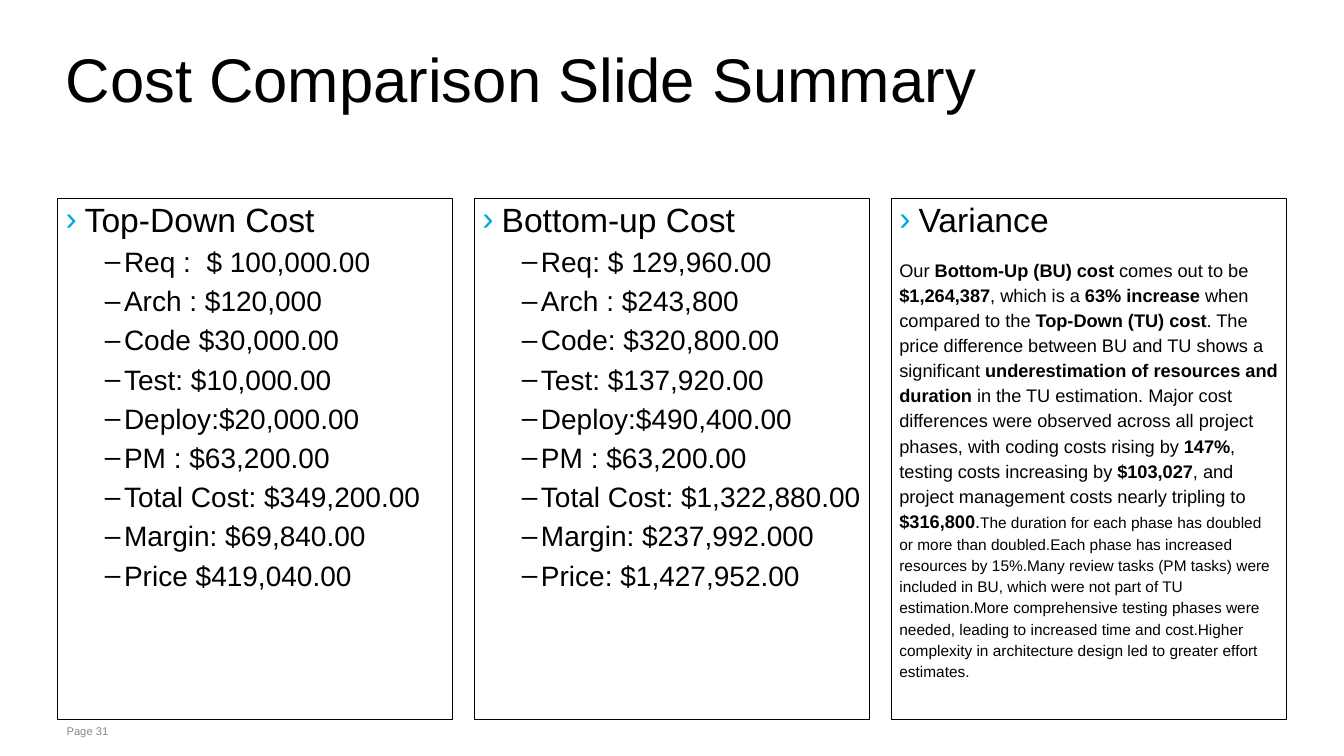
from lxml.etree import SubElement
from pptx import Presentation
from pptx.dml.color import RGBColor
from pptx.enum.text import MSO_ANCHOR as Anchor, MSO_AUTO_SIZE as AutoSize, PP_ALIGN as Align
from pptx.oxml.ns import qn
from pptx.util import Inches, Pt

BLACK = RGBColor(0x00, 0x00, 0x00)
GREY = RGBColor(0x87, 0x88, 0x8A)
CYAN = RGBColor(0x00, 0xA9, 0xD4)

# Column contents
TOP_DOWN = ["Req :  $ 100,000.00", "Arch : $120,000", "Code $30,000.00", "Test: $10,000.00",
            "Deploy:$20,000.00", "PM : $63,200.00", "Total Cost: $349,200.00",
            "Margin: $69,840.00", "Price $419,040.00"]
BOTTOM_UP = ["Req: $ 129,960.00", "Arch : $243,800", "Code: $320,800.00", "Test: $137,920.00",
             "Deploy:$490,400.00", "PM : $63,200.00", "Total Cost: $1,322,880.00",
             "Margin: $237,992.000", "Price: $1,427,952.00"]
# Plain and bold spans take turns, starting with plain
VARIANCE = ["Our ", "Bottom-Up (BU) cost", " comes out to be ", "$1,264,387", ", which is a ",
            "63% increase", " when compared to the ", "Top-Down (TU) cost",
            ". The price difference between BU and TU shows a significant ",
            "underestimation of resources and duration",
            " in the TU estimation. Major cost differences were observed across all project "
            "phases, with coding costs rising by ", "147%",
            ", testing costs increasing by ", "$103,027",
            ", and project management costs nearly tripling to ", "$316,800", "."]
REASONS = ("The duration for each phase has doubled or more than doubled."
           "Each phase has increased resources by 15%."
           "Many review tasks (PM tasks) were included in BU, which were not part of TU estimation."
           "More comprehensive testing phases were needed, leading to increased time and cost."
           "Higher complexity in architecture design led to greater effort estimates.")


def apply(target, **values):
    for name, value in values.items():
        setattr(target, name, value)


class SlideBuilder:
    font = "Arial"
    hang = 0.19

    def __init__(self, page):
        self.page = page

    def frame(self, box, place, top_inset=0, anchor=Anchor.TOP):
        left, top, width, height = map(Inches, place)
        apply(box, left=left, top=top, width=width, height=height)
        apply(box.text_frame, word_wrap=True, auto_size=AutoSize.NONE, vertical_anchor=anchor,
              margin_left=Inches(0.08), margin_right=Inches(0.08),
              margin_top=Inches(top_inset), margin_bottom=Inches(top_inset))
        return box.text_frame

    def span(self, para, text, size, color=BLACK, bold=False):
        span = para.add_run()
        span.text = text
        apply(span.font, name=self.font, size=Pt(size), bold=bold)
        span.font.color.rgb = color

    def para(self, frame, first=False, before=0, spacing=1.0, indent=0, bullet=None,
             bullet_color=BLACK, level=0):
        para = frame.paragraphs[0] if first else frame.add_paragraph()
        apply(para, level=level, alignment=Align.LEFT, space_before=Pt(before),
              space_after=Pt(0), line_spacing=spacing)
        props = para._p.get_or_add_pPr()
        props.set("marL", str(Inches(indent)))
        props.set("indent", str(Inches(-self.hang if bullet else 0)))
        if bullet:
            color = SubElement(props, qn("a:buClr"))
            SubElement(color, qn("a:srgbClr"), val=str(bullet_color))
            SubElement(props, qn("a:buFont"), typeface=self.font)
            SubElement(props, qn("a:buChar"), char=bullet)
        else:
            SubElement(props, qn("a:buNone"))
        return para

    def title(self, text, place):
        frame = self.frame(self.page.shapes.title, place, anchor=Anchor.MIDDLE)
        self.span(self.para(frame, first=True, spacing=0.75), text, 44)

    def column(self, box, place, heading):
        frame = self.frame(box, place)
        box.line.color.rgb = BLACK
        box.line.width = Pt(0.75)
        para = self.para(frame, first=True, indent=self.hang, bullet="›", bullet_color=CYAN)
        self.span(para, heading, 24)
        return frame

    def costs(self, frame, items):
        for item in items:
            para = self.para(frame, before=4, indent=0.58, bullet="–", level=1)
            self.span(para, item, 20)

    def summary(self, frame, spans, closing):
        para = self.para(frame, before=12, spacing=1.15)
        for number, text in enumerate(spans):
            self.span(para, text, 13, bold=number % 2 == 1)
        self.span(para, closing, 11)

    def page_label(self, text, place):
        box = self.page.shapes.add_textbox(0, 0, 0, 0)
        frame = self.frame(box, place, top_inset=0.05)
        self.span(self.para(frame, first=True, before=4), text, 8, GREY)


def main():
    deck = Presentation()
    apply(deck, slide_width=Inches(13.33), slide_height=Inches(7.5))
    page = deck.slides.add_slide(deck.slide_layouts.get_by_name("Comparison"))
    builder = SlideBuilder(page)

    # Title and page number
    builder.title("Cost Comparison Slide Summary", (0.57, 0.26, 10.93, 1.19))
    builder.page_label("Page 31", (0.58, 7.14, 10.79, 0.24))

    # Three equal columns; the fourth body placeholder is not needed
    *bodies, spare = list(page.placeholders)[1:]
    spare.element.getparent().remove(spare.element)
    headings = ["Top-Down Cost", "Bottom-up Cost", "Variance"]
    frames = [builder.column(body, (0.57 + 4.135 * number, 1.97, 3.92, 5.17), heading)
              for number, (body, heading) in enumerate(zip(bodies, headings))]
    builder.costs(frames[0], TOP_DOWN)
    builder.costs(frames[1], BOTTOM_UP)
    builder.summary(frames[2], VARIANCE, REASONS)

    deck.save("out.pptx")


if __name__ == "__main__":
    main()
